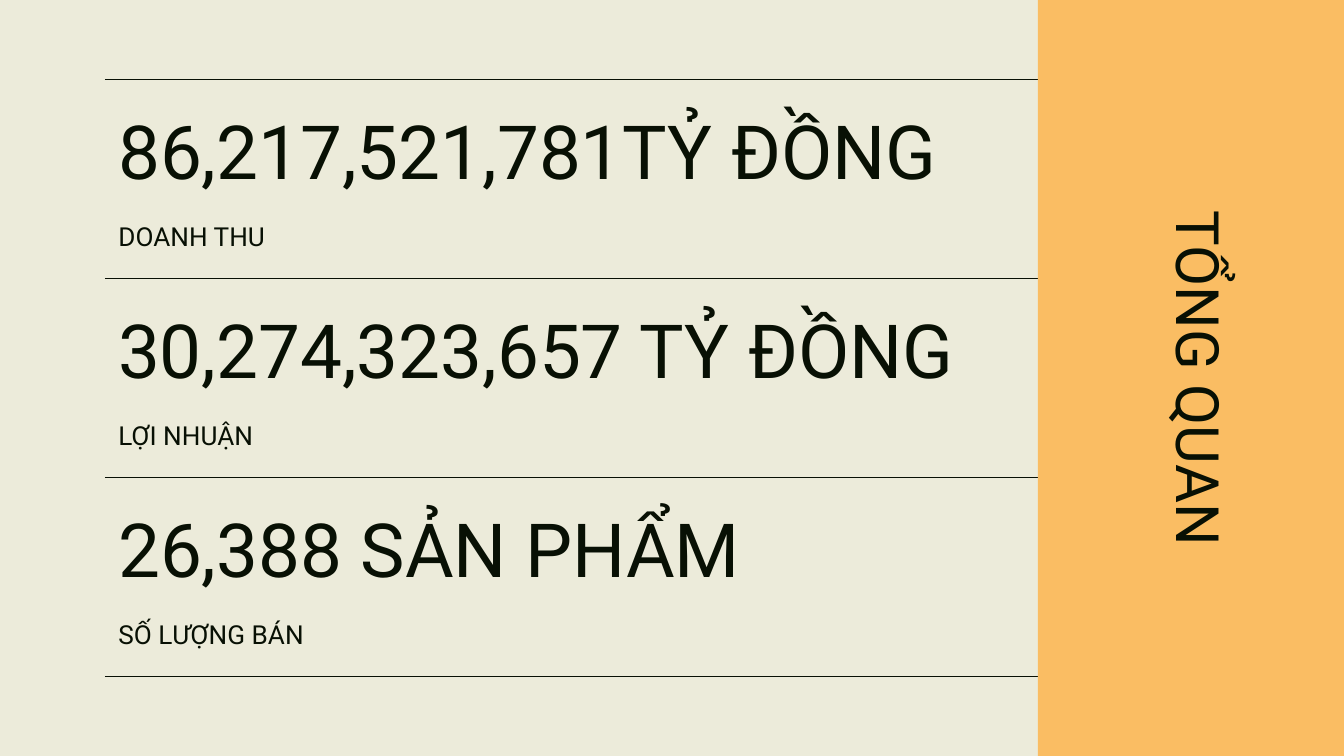
from dataclasses import dataclass

import pptx
import pptx.dml.color
import pptx.enum.shapes
import pptx.enum.text
import pptx.oxml
import pptx.oxml.ns
import pptx.util

Pt = pptx.util.Pt
RGB = pptx.dml.color.RGBColor.from_string
Align = pptx.enum.text.PP_ALIGN
Anchor = pptx.enum.text.MSO_ANCHOR


@dataclass(frozen=True)
class Theme:
    paper: str = "ECEBDA"
    ink: str = "081004"
    accent: str = "FABD63"
    font: str = "Roboto"
    heading: int = 32
    figure: int = 40
    label: int = 14
    rule: float = 0.75


THEME = Theme()

SLIDE_W, SLIDE_H = 720, 405
LEFT, RIGHT = 56.2, 663.8
FIRST_RULE, ROW_H = 42.5, 106.6
FIGURE_DY, LABEL_DY = 8.5, 68.4

METRICS = [
    ("86,217,521,781TỶ ĐỒNG", "DOANH THU", 466),
    ("30,274,323,657 TỶ ĐỒNG", "LỢI NHUẬN", 492.5),
    ("26,388 SẢN PHẨM", "SỐ LƯỢNG BÁN", 471.6),
]


def place(sp, left, top, width, height):
    sp.left, sp.top, sp.width, sp.height = map(Pt, (left, top, width, height))


def write_text(sp, text, size, anchor=Anchor.TOP, align=Align.LEFT):
    tf = sp.text_frame
    tf.text = text
    tf.word_wrap = True
    tf.auto_size = pptx.enum.text.MSO_AUTO_SIZE.NONE
    tf.vertical_anchor = anchor
    tf.margin_left = tf.margin_right = tf.margin_top = tf.margin_bottom = Pt(7.2)
    p = tf.paragraphs[0]
    p.alignment = align
    p.line_spacing = 1.0
    p.space_before = Pt(0)
    r = p.runs[0]
    r.font.name = THEME.font
    r.font.size = Pt(size)
    r.font.bold = False
    r.font.color.rgb = RGB(THEME.ink)


def remove_bullet(p):
    pPr = p._p.get_or_add_pPr()
    pPr.set("marL", "0")
    pPr.set("indent", "0")
    pPr.append(pptx.oxml.parse_xml(f"<a:buNone {pptx.oxml.ns.nsdecls('a')}/>"))


def add_rule(s, y):
    line = s.shapes.add_connector(
        pptx.enum.shapes.MSO_CONNECTOR.STRAIGHT, Pt(LEFT), Pt(y), Pt(RIGHT), Pt(y))
    line.line.color.rgb = RGB(THEME.ink)
    line.line.width = Pt(THEME.rule)
    line._element.spPr.append(
        pptx.oxml.parse_xml(f"<a:effectLst {pptx.oxml.ns.nsdecls('a')}/>"))


def add_metric(s, label_sp, top, figure, label, width):
    figure_sp = s.shapes.add_textbox(
        Pt(LEFT), Pt(top + FIGURE_DY), Pt(width), Pt(60.5))
    write_text(figure_sp, figure, THEME.figure, Anchor.BOTTOM)
    place(label_sp, LEFT, top + LABEL_DY, 293.8, 29.5)
    write_text(label_sp, label, THEME.label)
    remove_bullet(label_sp.text_frame.paragraphs[0])


def add_panel(s):
    panel = s.shapes.add_shape(
        pptx.enum.shapes.MSO_SHAPE.RECTANGLE, Pt(556), Pt(0), Pt(164), Pt(SLIDE_H))
    panel.shadow.inherit = False
    panel.fill.solid()
    panel.fill.fore_color.rgb = RGB(THEME.accent)
    panel.line.fill.background()


def set_heading(title, text):
    place(title, 344.9, 181.4, 607, 42.5)
    title.rotation = 90
    write_text(title, text, THEME.heading, align=Align.CENTER)
    # Bring the heading in front of the panel
    title.element.getparent().append(title.element)


def main():
    prs = pptx.Presentation()
    prs.slide_width, prs.slide_height = Pt(SLIDE_W), Pt(SLIDE_H)
    s = prs.slides.add_slide(prs.slide_layouts.get_by_name("Comparison"))
    s.background.fill.solid()
    s.background.fill.fore_color.rgb = RGB(THEME.paper)
    title, *bodies = s.placeholders

    # Rules above, between and below the metrics
    for i in range(len(METRICS) + 1):
        add_rule(s, FIRST_RULE + i * ROW_H)

    # Metrics: large figure with its label
    for i, (figure, label, width) in enumerate(METRICS):
        add_metric(s, bodies[i], FIRST_RULE + i * ROW_H, figure, label, width)
    for spare in bodies[len(METRICS):]:
        spare.element.getparent().remove(spare.element)

    # Side panel with the vertical heading
    add_panel(s)
    set_heading(title, "TỔNG QUAN")

    prs.save("out.pptx")


if __name__ == "__main__":
    main()
